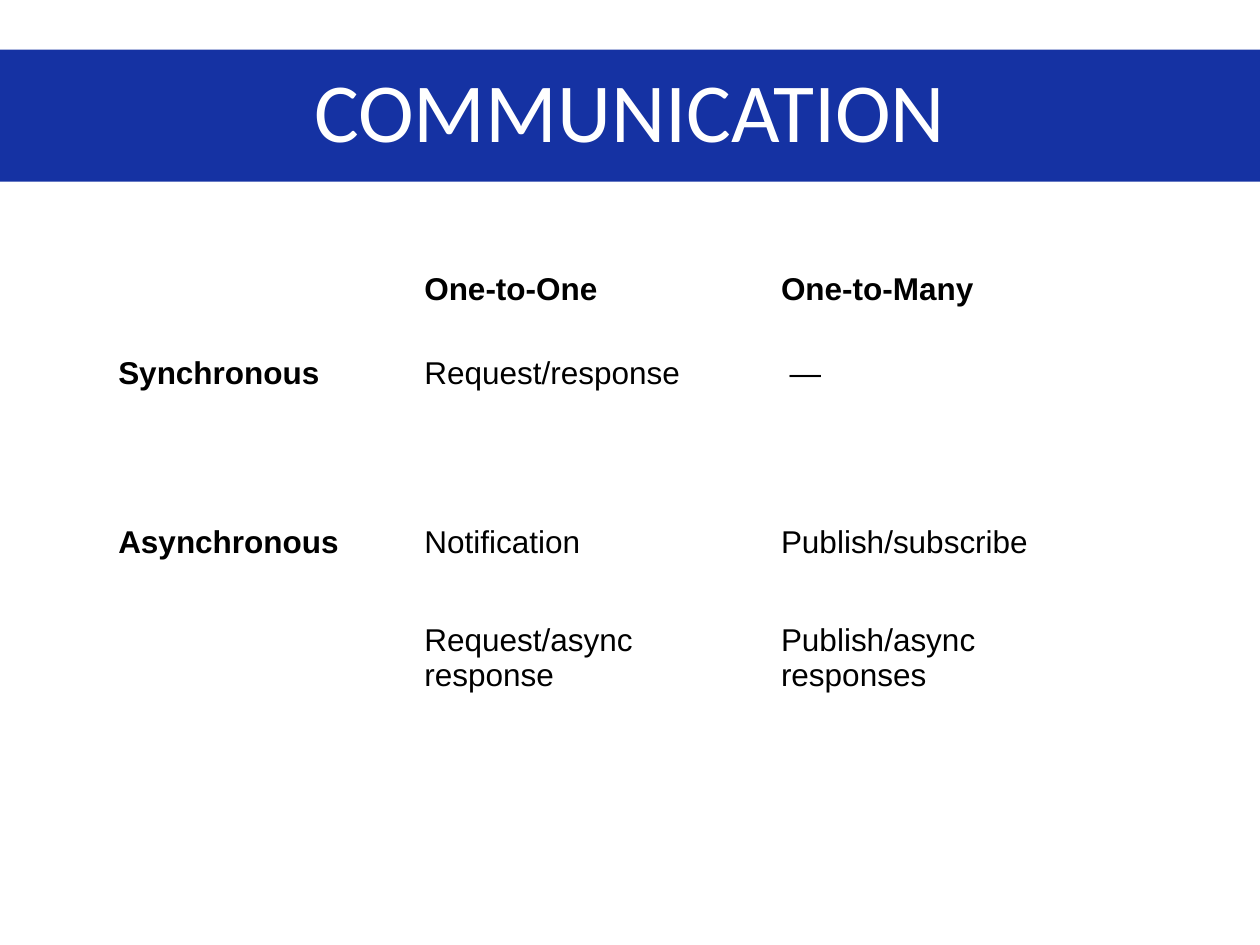
"""Build a slide that sorts communication styles in a table."""
from dataclasses import dataclass

from pptx import Presentation
from pptx.dml.color import RGBColor as Rgb
from pptx.enum.text import MSO_ANCHOR as Anchor, PP_ALIGN as Align
from pptx.util import Cm, Pt


@dataclass(frozen=True)
class Theme:
    blue: Rgb = Rgb(0x15, 0x32, 0xA3)
    white: Rgb = Rgb(0xFF, 0xFF, 0xFF)
    black: Rgb = Rgb(0, 0, 0)
    head: Pt = Pt(48)
    text: Pt = Pt(18)
    head_font: str = "Calibri"
    text_font: str = "Arial"


def add_run(para, text, name, size, color, bold=False):
    run = para.add_run()
    run.text = text
    font = run.font
    font.name, font.size, font.bold = name, size, bold
    font.color.rgb = color


theme = Theme()
deck = Presentation()
deck.slide_width, deck.slide_height = Cm(25.4), Cm(19.05)
slide = deck.slides.add_slide(deck.slide_layouts[5])
slide.background.fill.solid()
slide.background.fill.fore_color.rgb = theme.white

title = slide.shapes.title
title.left, title.top = Cm(0), Cm(1)
title.width, title.height = Cm(25.4), Cm(2.66)
title.fill.solid()
title.fill.fore_color.rgb = theme.blue
title.text_frame.vertical_anchor = Anchor.MIDDLE
para = title.text_frame.paragraphs[0]
para.alignment = Align.CENTER
para.line_spacing = 0.9
add_run(para, "COMMUNICATION", theme.head_font, theme.head, theme.white)

rows = [
    ("", "One-to-One", "One-to-Many"),
    ("Synchronous", "Request/response", " — "),
    ("", "", ""),
    ("Asynchronous", "Notification", "Publish/subscribe"),
    ("", "Request/async response", "Publish/async responses"),
]
widths = [Cm(6.17), Cm(7.19), Cm(7.19)]
heights = [Cm(1.7)] * 4 + [Cm(2.97)]

frame = slide.shapes.add_table(
    len(rows), len(widths), Cm(2.13), Cm(4.98), sum(widths), sum(heights))
table = frame.table
table.first_row = table.horz_banding = False
for col, width in zip(table.columns, widths):
    col.width = width
for row, height in zip(table.rows, heights):
    row.height = height

for r, row in enumerate(rows):
    for c, text in enumerate(row):
        cell = table.cell(r, c)
        cell.fill.solid()
        cell.fill.fore_color.rgb = theme.white
        cell.vertical_anchor = Anchor.MIDDLE
        if text:
            add_run(cell.text_frame.paragraphs[0], text, theme.text_font,
                    theme.text, theme.black, r == 0 or c == 0)

deck.save("out.pptx")
